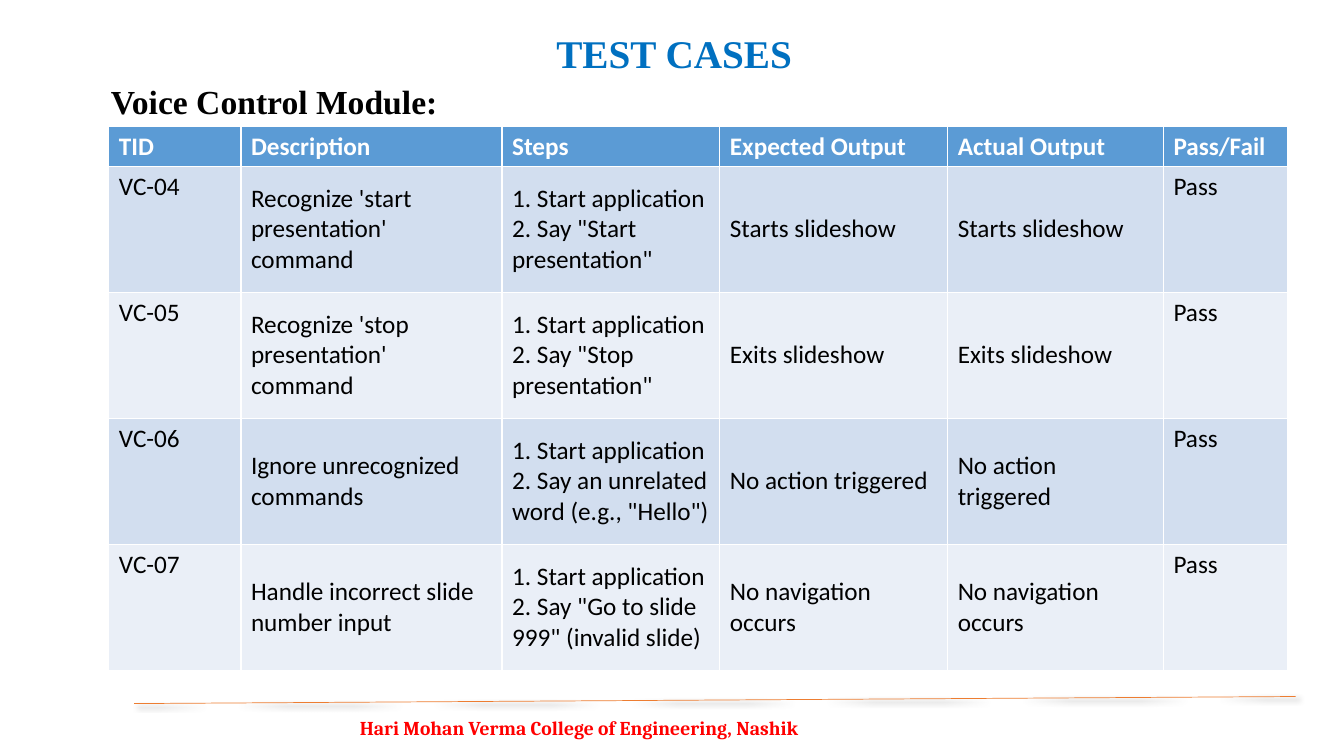
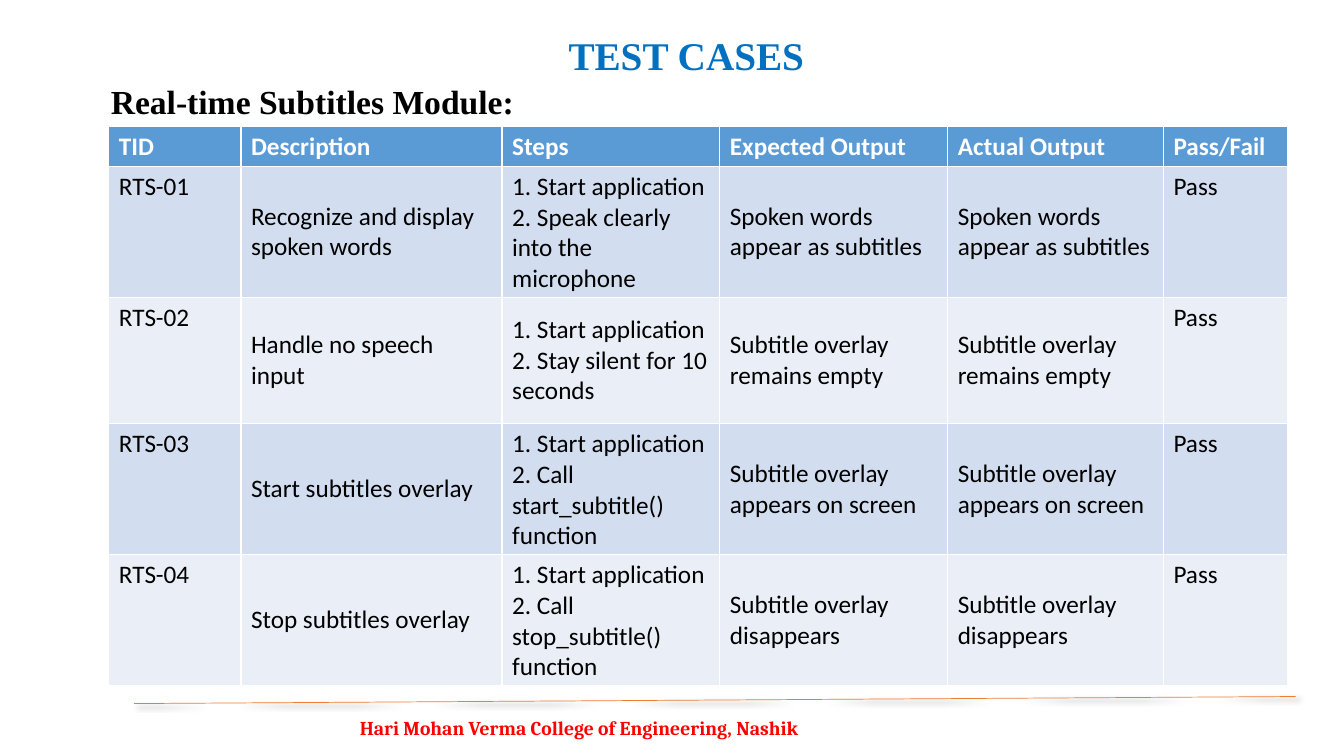
from lxml import etree
from pptx import Presentation
from pptx.dml.color import RGBColor
from pptx.enum import shapes, text
from pptx.oxml import ns
from pptx.util import Inches, Pt

BLUE = RGBColor(0x00, 0x70, 0xC0)
BLACK = RGBColor(0x00, 0x00, 0x00)
WHITE = RGBColor(0xFF, 0xFF, 0xFF)
RED = RGBColor(0xFF, 0x00, 0x00)
ORANGE = RGBColor(0xED, 0x7D, 0x31)
HEADER_FILL = RGBColor(0x5B, 0x9B, 0xD5)
BAND_FILLS = (RGBColor(0xD2, 0xDE, 0xEF), RGBColor(0xEA, 0xEF, 0xF7))

SERIF = "Times New Roman"
BODY = "Calibri"
FOOTER_FONT = "Cambria"
FOOTER = "Hari Mohan Verma College of Engineering, Nashik"

HEADERS = ("TID", "Description", "Steps", "Expected Output", "Actual Output", "Pass/Fail")
COL_WIDTHS = (1.31, 2.59, 2.16, 2.26, 2.14, 1.23)
HEADER_HEIGHT, ROW_HEIGHT = 0.32, 1.25
MIDDLE_COLS = range(1, 5)

# Each case: id, description, second step, output (expected and actual agree)
VOICE_CASES = (
    ("VC-04", "Recognize 'start presentation' command",
     'Say "Start presentation"', "Starts slideshow"),
    ("VC-05", "Recognize 'stop presentation' command",
     'Say "Stop presentation"', "Exits slideshow"),
    ("VC-06", "Ignore unrecognized commands",
     'Say an unrelated word (e.g., "Hello")', "No action triggered"),
    ("VC-07", "Handle incorrect slide number input",
     'Say "Go to slide 999" (invalid slide)', "No navigation occurs"),
)
SUBTITLE_CASES = (
    ("RTS-01", "Recognize and display spoken words",
     "Speak clearly into the microphone", "Spoken words appear as subtitles"),
    ("RTS-02", "Handle no speech input",
     "Stay silent for 10 seconds", "Subtitle overlay remains empty"),
    ("RTS-03", "Start subtitles overlay",
     "Call start_subtitle() function", "Subtitle overlay appears on screen"),
    ("RTS-04", "Stop subtitles overlay",
     "Call stop_subtitle() function", "Subtitle overlay disappears"),
)


def add_run(p, content, size, font, color, bold=False):
    r = p.add_run()
    r.text = content
    r.font.size = Pt(size)
    r.font.name = font
    r.font.color.rgb = color
    r.font.bold = bold


def add_text(s, box, content, size, font, color):
    """Add a bold one-line text box and return its paragraph."""
    tf = s.shapes.add_textbox(*map(Inches, box)).text_frame
    tf.word_wrap = True
    p = tf.paragraphs[0]
    add_run(p, content, size, font, color, bold=True)
    return p


def add_soft_shadow(sp):
    effects = etree.SubElement(sp._element.spPr, ns.qn("a:effectLst"))
    shadow = etree.SubElement(
        effects, ns.qn("a:outerShdw"), blurRad=str(Pt(4)), dist=str(Pt(3)),
        dir=str(45 * 60000), algn="tl", rotWithShape="0")
    color = etree.SubElement(shadow, ns.qn("a:srgbClr"), val=str(BLACK))
    etree.SubElement(color, ns.qn("a:alpha"), val="40000")


def add_footer(s):
    p = add_text(s, (3.47, 7.08, 5.83, 0.42), FOOTER, 14, FOOTER_FONT, RED)
    p.line_spacing = 0.9
    p.space_before = Pt(10)
    pPr = p._p.get_or_add_pPr()
    pPr.set("marL", str(Inches(0.25)))
    pPr.set("indent", str(Inches(-0.25)))

    rule = s.shapes.add_connector(
        shapes.MSO_CONNECTOR.STRAIGHT,
        Inches(1.33), Inches(6.98), Inches(12.85), Inches(6.91))
    rule.line.color.rgb = ORANGE
    rule.line.width = Pt(0.5)
    add_soft_shadow(rule)


def fill_cell(cell, content, fill, color, bold=False):
    cell.fill.solid()
    cell.fill.fore_color.rgb = fill
    add_run(cell.text_frame.paragraphs[0], content, 18, BODY, color, bold)


def add_case_table(s, cases):
    height = HEADER_HEIGHT + ROW_HEIGHT * len(cases)
    table = s.shapes.add_table(
        len(cases) + 1, len(HEADERS), Inches(1.08), Inches(1.25),
        Inches(sum(COL_WIDTHS)), Inches(height)).table
    for col, width in zip(table.columns, COL_WIDTHS):
        col.width = Inches(width)
    for i, row in enumerate(table.rows):
        row.height = Inches(ROW_HEIGHT if i else HEADER_HEIGHT)

    for c, header in enumerate(HEADERS):
        fill_cell(table.cell(0, c), header, HEADER_FILL, WHITE, bold=True)
    for i, (tid, description, step, output) in enumerate(cases):
        steps = f"1. Start application 2. {step}"
        for c, content in enumerate((tid, description, steps, output, output, "Pass")):
            cell = table.cell(i + 1, c)
            fill_cell(cell, content, BAND_FILLS[i % 2], BLACK)
            if c in MIDDLE_COLS:
                cell.vertical_anchor = text.MSO_ANCHOR.MIDDLE


def add_case_slide(prs, module, title_at, cases):
    s = prs.slides.add_slide(prs.slide_layouts[6])
    add_footer(s)
    add_text(s, (*title_at, 5.01, 0.57), "TEST CASES", 28, SERIF, BLUE)
    add_text(s, (1, 0.75, 10.09, 0.5), module, 24, SERIF, BLACK)
    add_case_table(s, cases)


def main():
    prs = Presentation()
    prs.slide_width = Inches(13.33)
    prs.slide_height = Inches(7.5)
    add_case_slide(prs, "Voice Control Module:", (5.42, 0.24), VOICE_CASES)
    add_case_slide(prs, "Real-time Subtitles Module:", (5.54, 0.26), SUBTITLE_CASES)
    prs.save("out.pptx")


if __name__ == "__main__":
    main()
